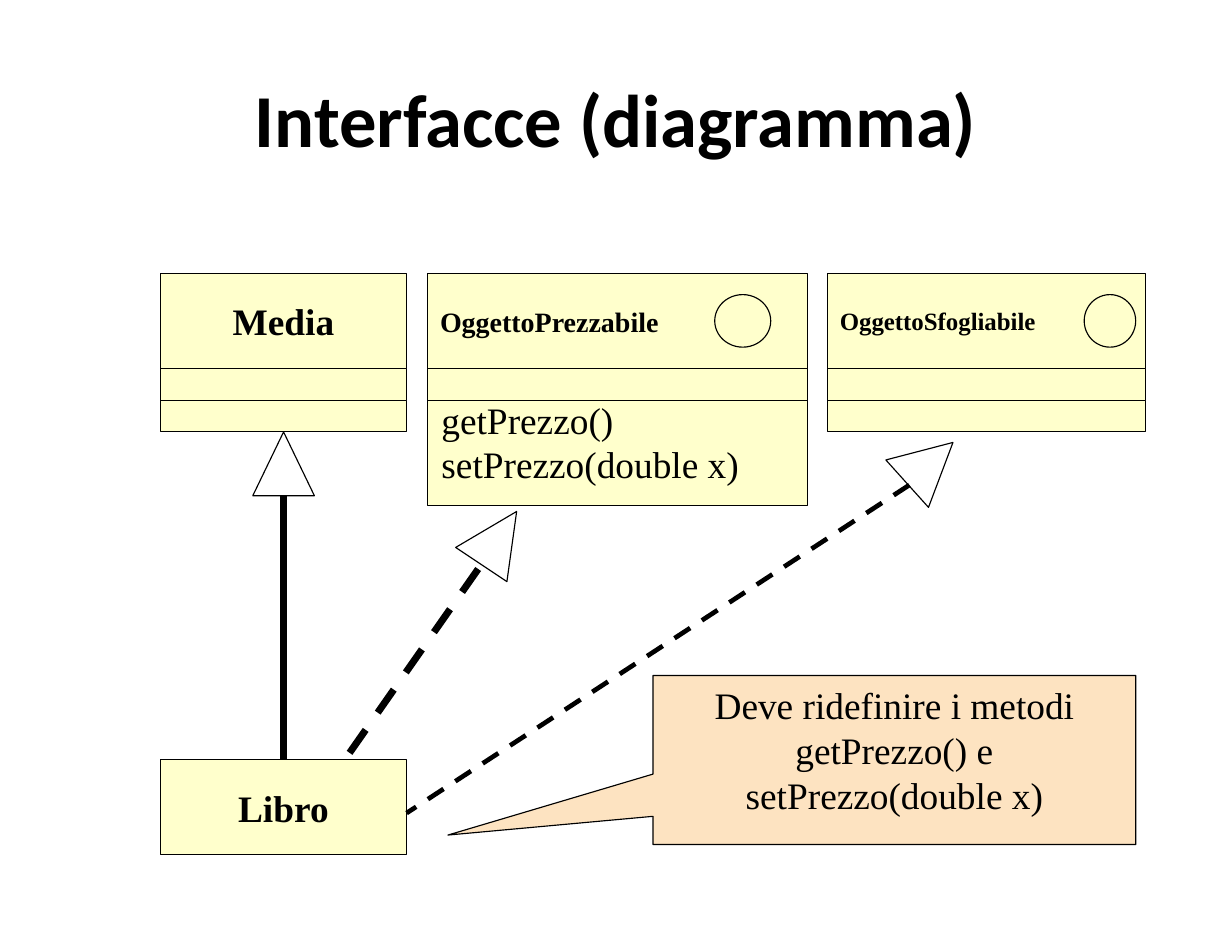
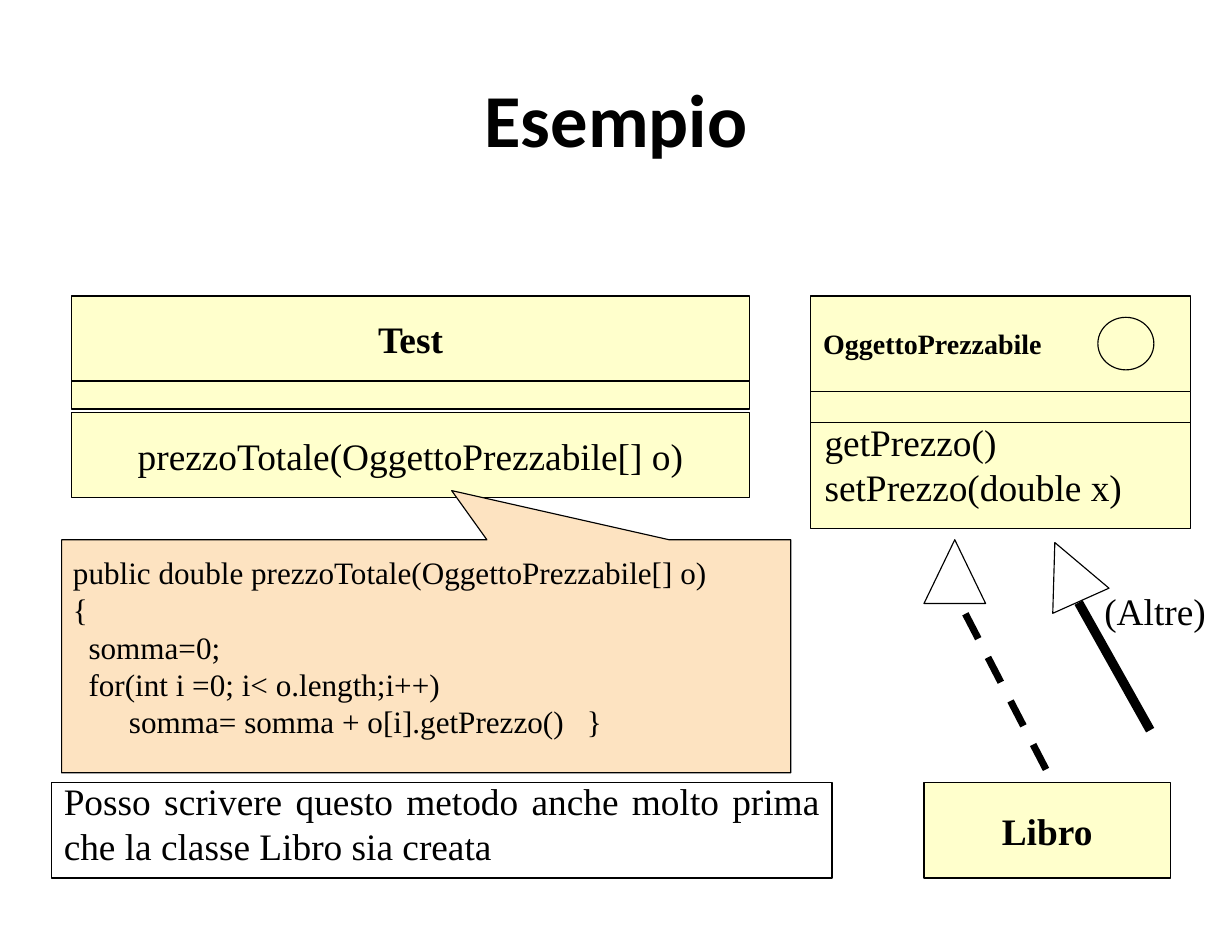
"""Build two slides on Java interfaces: a class diagram and an example."""
from dataclasses import dataclass
from typing import Optional

from lxml import etree
from pptx import Presentation
from pptx.dml.color import RGBColor
from pptx.enum.dml import MSO_LINE
from pptx.enum.shapes import MSO_CONNECTOR, MSO_SHAPE
from pptx.enum.text import MSO_ANCHOR, PP_ALIGN
from pptx.oxml.ns import qn
from pptx.shapes.autoshape import Shape
from pptx.slide import Slide
from pptx.util import Pt

RECTANGLE, TRIANGLE = MSO_SHAPE.RECTANGLE, MSO_SHAPE.ISOSCELES_TRIANGLE
OVAL, CALLOUT = MSO_SHAPE.OVAL, MSO_SHAPE.RECTANGULAR_CALLOUT
STRAIGHT, DASH = MSO_CONNECTOR.STRAIGHT, MSO_LINE.DASH
LEFT, CENTER, JUSTIFY = PP_ALIGN.LEFT, PP_ALIGN.CENTER, PP_ALIGN.JUSTIFY
TOP, MIDDLE = MSO_ANCHOR.TOP, MSO_ANCHOR.MIDDLE


@dataclass(frozen=True)
class Theme:
    """Colours, fonts and sizes shared by the slides."""
    ink: RGBColor = RGBColor(0, 0, 0)
    paper: RGBColor = RGBColor(255, 255, 255)
    card: RGBColor = RGBColor(0xFF, 0xFF, 0xCC)
    note: RGBColor = RGBColor(0xFD, 0xE3, 0xC1)
    title_font: str = "Calibri"
    body_font: str = "Times New Roman"
    title_size: float = 48
    body_size: float = 24
    code_size: float = 20
    interface_size: float = 18
    small_size: float = 16
    leading: float = 1.2
    outline: float = 0.75
    inset_x: float = 7.92
    inset_y: float = 4.32


THEME = Theme()


@dataclass(frozen=True)
class Area:
    """A rectangle in points."""
    left: float
    top: float
    width: float
    height: float


@dataclass(frozen=True)
class TextStyle:
    """How a block of text is set."""
    size: float = THEME.body_size
    bold: bool = False
    align: PP_ALIGN = LEFT
    anchor: MSO_ANCHOR = TOP
    font: str = THEME.body_font
    leading: Optional[float] = THEME.leading


TITLE = TextStyle(THEME.title_size, True, CENTER, MIDDLE, THEME.title_font, None)
BODY = TextStyle()
CLASS_NAME = TextStyle(bold=True, align=CENTER, anchor=MIDDLE)
INTERFACE_NAME = TextStyle(THEME.interface_size, True, anchor=MIDDLE)
SMALL_INTERFACE_NAME = TextStyle(THEME.small_size, True, anchor=MIDDLE)
OPERATION = TextStyle(align=CENTER, anchor=MIDDLE)
REMARK = TextStyle(align=CENTER)
CODE = TextStyle(THEME.code_size, align=JUSTIFY)
PROSE = TextStyle(align=JUSTIFY)


@dataclass(frozen=True)
class ClassCard:
    """A class box made of stacked compartments, with an optional interface circle."""
    name: str
    left: float
    top: float
    width: float
    compartments: tuple[float, ...] = (61.2, 20.4, 20.4)
    style: TextStyle = CLASS_NAME
    circle_left: float = 0
    circle_width: float = 0
    methods: tuple[str, ...] = ()


@dataclass(frozen=True)
class Link:
    """A line of a class relation, in points."""
    start: tuple[float, float]
    end: tuple[float, float]
    weight: float
    dashed: bool = False


def write(shape: Shape, lines: tuple[str, ...], style: TextStyle) -> None:
    """Put lines into a shape, one paragraph each."""
    frame = shape.text_frame
    frame.word_wrap = True
    frame.vertical_anchor = style.anchor
    frame.margin_left = frame.margin_right = Pt(THEME.inset_x)
    frame.margin_top = frame.margin_bottom = Pt(THEME.inset_y)
    for index, line in enumerate(lines):
        para = frame.add_paragraph() if index else frame.paragraphs[0]
        para.text = line
        para.alignment = style.align
        if style.leading:
            para.line_spacing = Pt(style.size * style.leading)
        para.font.name = style.font
        para.font.size = Pt(style.size)
        para.font.bold = style.bold
        para.font.color.rgb = THEME.ink


def add_text(page: Slide, area: Area, lines: tuple[str, ...], style: TextStyle) -> None:
    """Add a text box."""
    box = page.shapes.add_textbox(Pt(area.left), Pt(area.top), Pt(area.width), Pt(area.height))
    write(box, lines, style)


def add_outlined(page: Slide, kind: MSO_SHAPE, area: Area, fill: RGBColor) -> Shape:
    """Add a filled preset shape with a thin outline."""
    shape = page.shapes.add_shape(
        kind, Pt(area.left), Pt(area.top), Pt(area.width), Pt(area.height))
    shape.shadow.inherit = False
    shape.fill.solid()
    shape.fill.fore_color.rgb = fill
    shape.line.color.rgb = THEME.ink
    shape.line.width = Pt(THEME.outline)
    return shape


def add_callout(page: Slide, area: Area, tip: tuple[float, float]) -> Shape:
    """Add a speech callout whose tip is relative to its centre."""
    callout = add_outlined(page, CALLOUT, area, THEME.note)
    callout.adjustments[0], callout.adjustments[1] = tip
    return callout


def add_arrowhead(page: Slide, area: Area, rotation: float = 0) -> None:
    """Add the hollow triangle of an inheritance arrow."""
    add_outlined(page, TRIANGLE, area, THEME.paper).rotation = rotation


def add_link(page: Slide, link: Link) -> None:
    """Add a relation line."""
    line = page.shapes.add_connector(STRAIGHT, *map(Pt, link.start + link.end))
    line.line.color.rgb = THEME.ink
    line.line.width = Pt(link.weight)
    if link.dashed:
        line.line.dash_style = DASH
    etree.SubElement(line._element.spPr, qn("a:effectLst"))


def add_card(page: Slide, card: ClassCard) -> None:
    """Draw a class card from top to bottom."""
    top = card.top
    for index, height in enumerate(card.compartments):
        area = Area(card.left, top, card.width, height)
        box = add_outlined(page, RECTANGLE, area, THEME.card)
        if index == 0:
            write(box, (card.name,), card.style)
        top += height
    if card.circle_width:
        circle = Area(card.left + card.circle_left, card.top + 13.7, card.circle_width, 33.8)
        add_outlined(page, OVAL, circle, THEME.card)
    if card.methods:
        area = Area(card.left + 0.9, card.top + 75, card.width, 65.5)
        add_text(page, area, card.methods, BODY)


def priceable_card(left: float, top: float) -> ClassCard:
    """Describe the interface card that both slides show."""
    return ClassCard("OggettoPrezzabile", left, top, 244, (61.2, 20.4, 67.7), INTERFACE_NAME,
                     184.5, 36, ("getPrezzo()", "setPrezzo(double x)"))


def book_card(left: float, top: float) -> ClassCard:
    """Describe the class card that both slides show."""
    return ClassCard("Libro", left, top, 158.4, (61.2,))


def add_page(deck: Presentation, title: str) -> Slide:
    """Add a blank page with its title."""
    page = deck.slides.add_slide(deck.slide_layouts[6])
    add_text(page, Area(39.6, 24.5, 712.8, 102.2), (title,), TITLE)
    return page


def build_diagram(deck: Presentation) -> None:
    """Build the interface diagram."""
    page = add_page(deck, "Interfacce (diagramma)")
    add_link(page, Link((182.2, 488.2), (182.2, 318.2), 4.5))
    for card in (
        ClassCard("Media", 103, 175.7, 158.4),
        book_card(103, 488.2),
        priceable_card(275, 175.7),
        ClassCard("OggettoSfogliabile", 532, 175.7, 204.5, style=SMALL_INTERFACE_NAME,
                  circle_left=165, circle_width=33.1),
    ):
        add_card(page, card)
    add_arrowhead(page, Area(162.5, 277.7, 39.6, 41))
    add_arrowhead(page, Area(301, 325.4, 39.6, 41), 33.7)
    add_arrowhead(page, Area(577.4, 277.9, 41, 39.6), 48)
    add_link(page, Link((307.4, 365.8), (221.8, 488.2), 4.5, True))
    add_link(page, Link((584.6, 311.8), (261.4, 522.7), 3, True))
    callout = add_callout(page, Area(419.8, 434.2, 310.3, 108.7), (-0.925, 0.444))
    write(callout, ("Deve ridefinire i metodi getPrezzo() e setPrezzo(double x)",), REMARK)


def build_example(deck: Presentation) -> None:
    """Build the example with its code callout."""
    page = add_page(deck, "Esempio")
    add_card(page, ClassCard("Test", 46.1, 190.3, 435.6, (54.7, 18)))
    operation = add_outlined(page, RECTANGLE, Area(46.1, 265.2, 435.6, 54.7), THEME.card)
    write(operation, ("prezzoTotale(OggettoPrezzabile[] o)",), OPERATION)
    add_card(page, book_card(594, 503.3))
    add_card(page, priceable_card(521.3, 190.3))
    add_arrowhead(page, Area(594, 347, 39.6, 41))
    add_link(page, Link((620.6, 394.6), (673.2, 496.1), 4.5, True))
    add_callout(page, Area(39.6, 347, 468.7, 149.8), (0.035, -0.711))
    add_text(page, Area(39, 351.4, 470, 127.4), (
        "public double prezzoTotale(OggettoPrezzabile[] o)",
        "{",
        "  somma=0;",
        "  for(int i =0; i< o.length;i++)",
        "\tsomma= somma + o[i].getPrezzo()   }",
    ), CODE)
    add_outlined(page, RECTANGLE, Area(33.1, 503.3, 501.8, 61.2), THEME.paper)
    add_text(page, Area(33.1, 496.1, 501.8, 65.5), (
        "Posso scrivere questo metodo anche molto prima che la classe Libro sia creata",
    ), PROSE)
    add_arrowhead(page, Area(666.7, 347, 39.6, 41), 335.9)
    add_link(page, Link((693.4, 387.4), (739.4, 469.4), 6))
    add_text(page, Area(702, 373.7, 84, 36.7), ("(Altre)",), BODY)


def main() -> None:
    """Build and save the deck."""
    deck = Presentation()
    deck.slide_width, deck.slide_height = Pt(792), Pt(612)
    build_diagram(deck)
    build_example(deck)
    deck.save("out.pptx")


if __name__ == "__main__":
    main()
